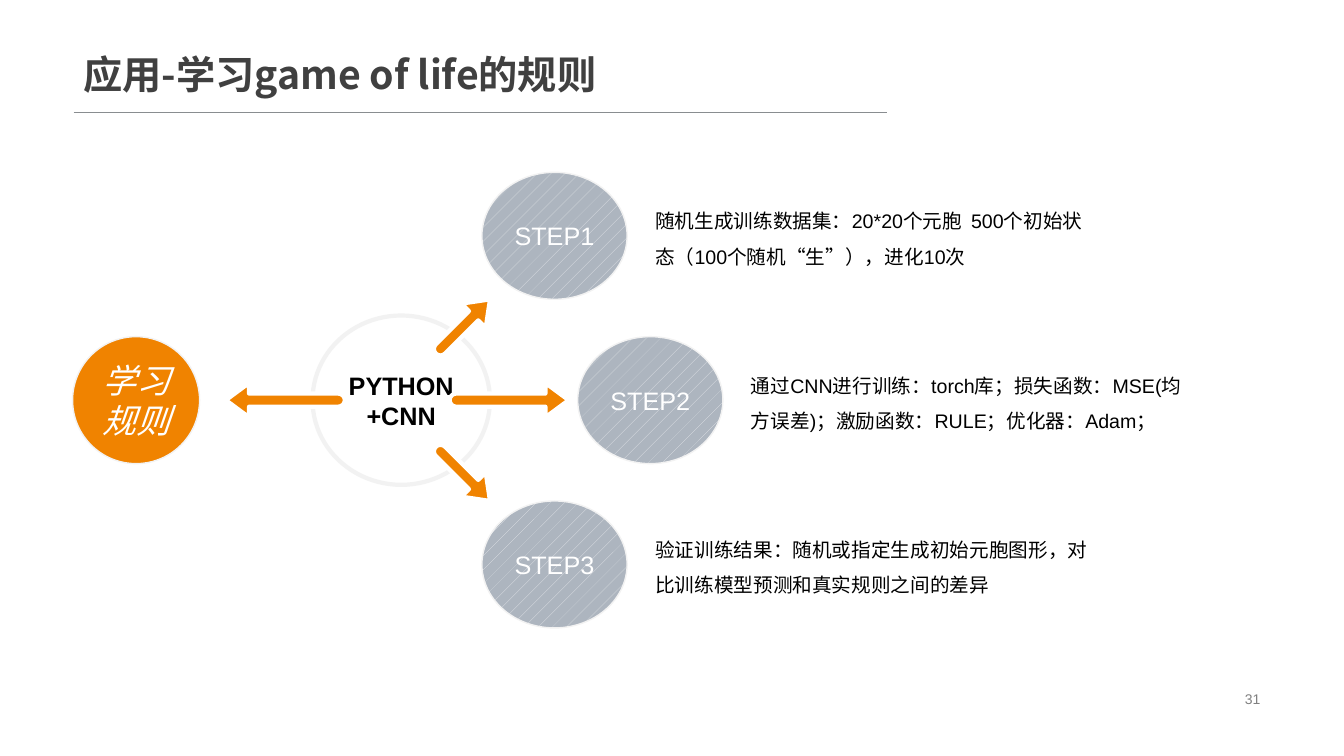
from math import cos, pi, radians, sin

from lxml import etree
from pptx import Presentation
from pptx.dml.color import RGBColor
from pptx.enum.dml import MSO_PATTERN
from pptx.enum.shapes import MSO_CONNECTOR, MSO_SHAPE
from pptx.enum.text import MSO_ANCHOR as ANCHOR, MSO_AUTO_SIZE, PP_ALIGN as ALIGN
from pptx.oxml.ns import qn
from pptx.util import Inches, Pt

rgb = RGBColor.from_string
CHINESE_FONT = "Noto Sans CJK SC"
ORANGE, WHITE, PALE_GREY = "F08300", "FFFFFF", "F2F2F2"


def write_text(shape, text, size, color, font="Arial", bold=False, italic=False,
               align=ALIGN.LEFT, anchor=ANCHOR.TOP, spacing=1.0):
    frame = shape.text_frame
    frame.word_wrap = True
    frame.auto_size = MSO_AUTO_SIZE.NONE
    frame.vertical_anchor = anchor
    paragraph = frame.paragraphs[0]
    paragraph.alignment = align
    paragraph.line_spacing = spacing
    run = paragraph.add_run()
    run.text = text
    run.font.name = font
    run.font.size = Pt(size)
    run.font.bold = bold
    run.font.italic = italic
    run.font.color.rgb = rgb(color)
    latin = run.font._element.find(qn("a:latin"))
    latin.addnext(etree.Element(qn("a:ea"), typeface=CHINESE_FONT))


def add_ellipse(left, top, width, height, fill, line_width=1):
    """Add an outlined ellipse; without a fill colour it gets the grey pattern."""
    ellipse = slide.shapes.add_shape(
        MSO_SHAPE.OVAL, Inches(left), Inches(top), Inches(width), Inches(height))
    ellipse.shadow.inherit = False
    if fill:
        ellipse.fill.solid()
        ellipse.fill.fore_color.rgb = rgb(fill)
    else:
        ellipse.fill.patterned()
        ellipse.fill.pattern = MSO_PATTERN.PERCENT_5
        ellipse.fill.fore_color.rgb = rgb("E4E6EA")
        ellipse.fill.back_color.rgb = rgb("ADB5BF")
    ellipse.line.color.rgb = rgb(PALE_GREY)
    ellipse.line.width = Pt(line_width)
    return ellipse


presentation = Presentation()
presentation.slide_width = Inches(13.33)
presentation.slide_height = Inches(7.5)
slide = presentation.slides.add_slide(presentation.slide_layouts[5])

# Title, rule and page number
title = slide.shapes.title
title.left, title.top = Inches(0.73), Inches(0.23)
title.width, title.height = Inches(11.87), Inches(0.79)
write_text(title, "应用-学习game of life的规则", 28, "404040", font=CHINESE_FONT,
           bold=True, anchor=ANCHOR.BOTTOM, spacing=0.9)

rule = slide.shapes.add_connector(
    MSO_CONNECTOR.STRAIGHT, Inches(0.73), Inches(1.11), Inches(8.8), Inches(1.11))
rule.line.color.rgb = rgb("898D90")
rule.line.width = Pt(0.5)
etree.SubElement(rule._element.spPr, qn("a:effectLst"))

page_number = slide.shapes.add_textbox(
    Inches(9.42), Inches(6.82), Inches(3.18), Inches(0.23))
write_text(page_number, "31", 10, "808080", align=ALIGN.RIGHT, anchor=ANCHOR.MIDDLE)

# Goal, steps and hub
goal = add_ellipse(0.72, 3.34, 1.26, 1.26, ORANGE)
write_text(goal, "学习规则", 24, WHITE, italic=True, align=ALIGN.CENTER,
           anchor=ANCHOR.MIDDLE)

steps = [
    (4.78, 1.71, "随机生成训练数据集：20*20个元胞  500个初始状态（100个随机“生”），进化10次"),
    (5.73, 3.34, "通过CNN进行训练：torch库；损失函数：MSE(均方误差)；激励函数：RULE；优化器：Adam；"),
    (4.78, 4.97, "验证训练结果：随机或指定生成初始元胞图形，对比训练模型预测和真实规则之间的差异"),
]
for number, (left, top, description) in enumerate(steps, start=1):
    step = add_ellipse(left, top, 1.44, 1.26, None)
    write_text(step, f"STEP{number}", 18, WHITE, align=ALIGN.CENTER,
               anchor=ANCHOR.MIDDLE)
    description_box = slide.shapes.add_textbox(
        Inches(left + 1.62), Inches(top + 0.2), Inches(4.51), Inches(0.87))
    write_text(description_box, description, 14, "000000", spacing=1.5)

hub = add_ellipse(3.1, 3.13, 1.76, 1.68, WHITE, line_width=3)
write_text(hub, "PYTHON+CNN", 18, "000000", bold=True, align=ALIGN.CENTER,
           anchor=ANCHOR.MIDDLE)
hub.text_frame.margin_left = hub.text_frame.margin_right = Inches(0.08)

# Arrows with a rounded tail: tip, length and direction in degrees
HEAD_LENGTH, HEAD_HALF, SHAFT_HALF = 0.23, 0.17, 0.065
arrows = [
    (2.24, 3.97, 1.18, 180),
    (5.64, 3.97, 1.18, 0),
    (4.86, 4.97, 0.76, 45),
    (4.86, 2.97, 0.76, -45),
]
for tip_x, tip_y, length, degrees in arrows:
    tail_center = SHAFT_HALF - length
    outline = [(0, 0), (-HEAD_LENGTH, HEAD_HALF), (-HEAD_LENGTH, SHAFT_HALF)]
    for part in range(9):
        turn = pi / 2 + part * pi / 8
        outline.append((tail_center + SHAFT_HALF * cos(turn), SHAFT_HALF * sin(turn)))
    outline += [(-HEAD_LENGTH, -SHAFT_HALF), (-HEAD_LENGTH, -HEAD_HALF)]
    angle = radians(degrees)
    points = [(Inches(tip_x + along * cos(angle) - across * sin(angle)),
               Inches(tip_y + along * sin(angle) + across * cos(angle)))
              for along, across in outline]
    builder = slide.shapes.build_freeform(*points[0])
    builder.add_line_segments(points[1:], close=True)
    arrow = builder.convert_to_shape()
    arrow.shadow.inherit = False
    arrow.fill.solid()
    arrow.fill.fore_color.rgb = rgb(ORANGE)
    arrow.line.color.rgb = rgb(WHITE)
    arrow.line.width = Pt(3)

presentation.save("out.pptx")
